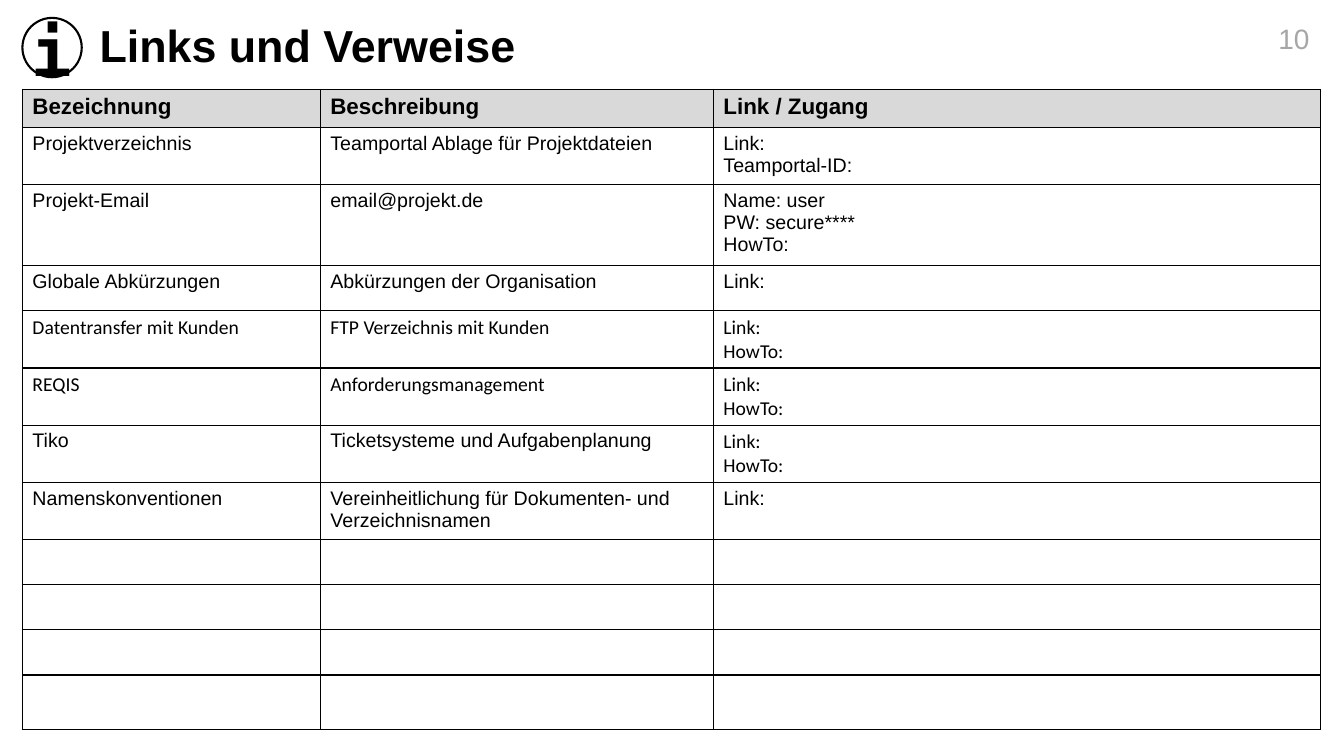
import pptx
import pptx.dml.color
import pptx.enum.shapes
import pptx.enum.text
import pptx.oxml
import pptx.oxml.ns
import pptx.util

BLACK = pptx.dml.color.RGBColor(0x00, 0x00, 0x00)
GREY = pptx.dml.color.RGBColor(0xA6, 0xA6, 0xA6)
SILVER = pptx.dml.color.RGBColor(0xD9, 0xD9, 0xD9)
ALIGN = pptx.enum.text.PP_ALIGN
MID = pptx.enum.text.MSO_ANCHOR.MIDDLE
ARIAL, CALI, MONO = "Arial", "Calibri", "DejaVu Sans Mono"


class Page:
    """Style and current slide; lengths are in squares, 60 across the slide."""

    def __init__(self, deck):
        self.unit = deck.slide_width / 60
        self.slide = deck.slides.add_slide(deck.slide_layouts[6])
        self.base = {"name": ARIAL, "size": 14, "bold": False, "color": BLACK}

    def span(self, *cells):
        return [pptx.util.Emu(round(cell * self.unit)) for cell in cells]

    def put(self, frame, text, look=None, **form):
        """Fill a frame, one paragraph per line of text."""
        look = {**self.base, **(look or {})}
        frame.text = text
        for para in frame.paragraphs:
            for key, value in form.items():
                setattr(para, key, value)
            for run in para.runs:
                run.font.color.rgb = look["color"]
                run.font.size = pptx.util.Pt(look["size"])
                for key in ("name", "bold"):
                    setattr(run.font, key, look[key])

    def label(self, box, text, look, **form):
        frame = self.slide.shapes.add_textbox(*self.span(*box)).text_frame
        frame.word_wrap = True
        frame.vertical_anchor = MID
        self.put(frame, text, look, **form)

    def badge(self, box, text, look, pads):
        oval = pptx.enum.shapes.MSO_SHAPE.OVAL
        shape = self.slide.shapes.add_shape(oval, *self.span(*box))
        shape.shadow.inherit = False
        shape.fill.background()
        shape.line.color.rgb = BLACK
        shape.line.width = pptx.util.Pt(1.5)
        frame = shape.text_frame
        frame.vertical_anchor = MID
        for side, pad in zip(("left", "top", "right", "bottom"), self.span(*pads)):
            setattr(frame, "margin_" + side, pad)
        self.put(frame, text, look, alignment=ALIGN.CENTER)

    def border(self, cell):
        space = pptx.oxml.ns.nsdecls("a")
        props = cell._tc.get_or_add_tcPr()
        for side in "LRTB":
            props.append(pptx.oxml.parse_xml(
                f'<a:ln{side} {space} w="12700"><a:solidFill>'
                f'<a:srgbClr val="{BLACK}"/></a:solidFill></a:ln{side}>'))

    def table(self, left, top, cols, rows, head, data):
        box = self.span(left, top, sum(cols), sum(rows))
        grid = self.slide.shapes.add_table(len(rows), len(cols), *box).table
        grid.first_row = grid.horz_banding = False
        for col, width in zip(grid.columns, self.span(*cols)):
            col.width = width
        for row, height in zip(grid.rows, self.span(*rows)):
            row.height = height
        for cell in grid.iter_cells():
            self.border(cell)
            cell.fill.background()
        for cell, text in zip(grid.rows[0].cells, head):
            cell.fill.solid()
            cell.fill.fore_color.rgb = SILVER
            self.put(cell.text_frame, text, {"size": 16, "bold": True})
        for num, (texts, fonts) in enumerate(data, 1):
            for cell, text, font in zip(grid.rows[num].cells, texts, fonts):
                self.put(cell.text_frame, text, {"name": font})


deck = pptx.Presentation()
deck.slide_width = pptx.util.Inches(13.33)
deck.slide_height = pptx.util.Inches(7.5)
page = Page(deck)

# Heading with info badge
page.label((4, 0.8, 50.5, 2.65), "Links und Verweise",
           {"size": 32, "bold": True}, line_spacing=0.9)
page.badge((1, 0.8, 2.65, 2.65), "i",
           {"name": MONO, "size": 48, "bold": True}, (0, 0.18, 0.54, 0))

# Table of links, with four free rows at the end
PLAIN, ALT, MIX = (ARIAL,) * 3, (CALI,) * 3, (ARIAL, ARIAL, CALI)
HOW = "Link:\nHowTo:"
DATA = [
    (("Projektverzeichnis", "Teamportal Ablage für Projektdateien",
      "Link:\nTeamportal-ID:"), PLAIN),
    (("Projekt-Email", "email@projekt.de",
      "Name: user\nPW: secure****\nHowTo:"), PLAIN),
    (("Globale Abkürzungen", "Abkürzungen der Organisation", "Link:"), PLAIN),
    (("Datentransfer mit Kunden", "FTP Verzeichnis mit Kunden", HOW), ALT),
    (("REQIS", "Anforderungsmanagement", HOW), ALT),
    (("Tiko", "Ticketsysteme und Aufgabenplanung", HOW), MIX),
    (("Namenskonventionen",
      "Vereinheitlichung für Dokumenten- und Verzeichnisnamen", "Link:"), PLAIN),
]
page.table(1, 4, (13.3, 17.55, 27.1), [1.7] + [2.02] * 10 + [2.43],
           ("Bezeichnung", "Beschreibung", "Link / Zugang"), DATA)

# Page number
page.label((54.5, 0.8, 4.4, 1.8), "10", {"size": 20, "color": GREY},
           alignment=ALIGN.RIGHT)

deck.save("out.pptx")
